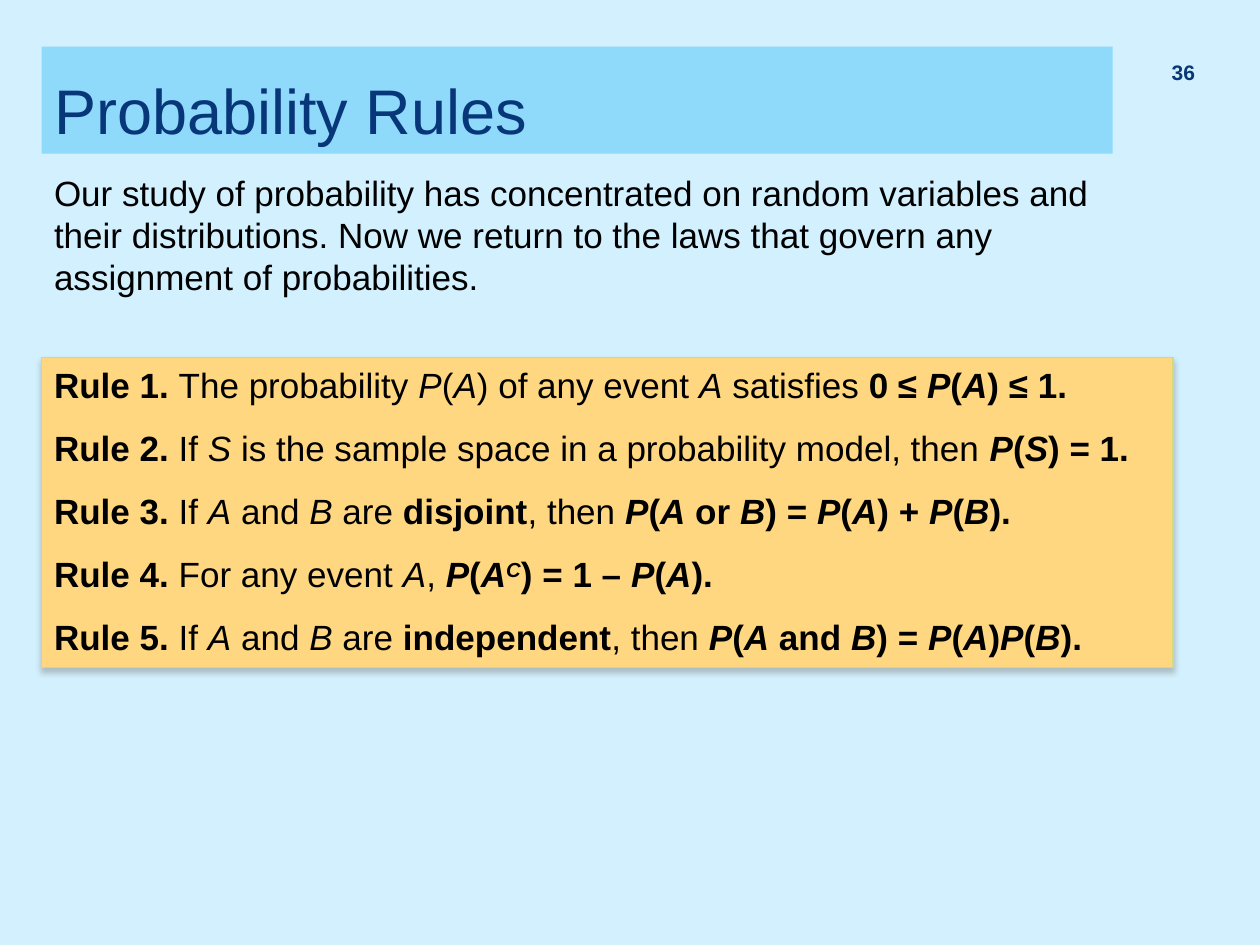
from dataclasses import dataclass

from lxml.etree import SubElement
from pptx import Presentation
from pptx.dml.color import RGBColor
from pptx.enum.text import MSO_ANCHOR, MSO_AUTO_SIZE, PP_ALIGN
from pptx.enum.shapes import MSO_SHAPE
from pptx.oxml.ns import qn
from pptx.util import Cm, Pt

NAVY = "073779"
BLACK = "000000"
LEFT = 0.84


@dataclass(frozen=True)
class Span:
    text: str
    bold: bool = False
    italic: bool = False
    superscript: bool = False


@dataclass(frozen=True)
class Area:
    left: float
    top: float
    width: float
    height: float

    def lengths(self) -> tuple:
        return Cm(self.left), Cm(self.top), Cm(self.width), Cm(self.height)


def plain(text: str) -> Span:
    return Span(text)


def italic(text: str) -> Span:
    return Span(text, italic=True)


def bold(text: str) -> Span:
    return Span(text, bold=True)


def symbol(text: str) -> Span:
    return Span(text, bold=True, italic=True)


def probability(event: str, after: str) -> list[Span]:
    return [symbol("P"), bold("("), symbol(event), bold(")" + after)]


def joint(conjunction: str) -> list[Span]:
    return [symbol("P"), bold("("), symbol("A"), bold(f" {conjunction} "),
            symbol("B"), bold(") = ")]


def two_events(kind: str) -> list[Span]:
    return [plain("If "), italic("A"), plain(" and "), italic("B"),
            plain(" are "), bold(kind), plain(", then ")]


RULES = [
    [plain("The probability "), italic("P"), plain("("), italic("A"),
     plain(") of any event "), italic("A"), plain(" satisfies "),
     bold("0 ≤ "), *probability("A", " ≤ 1.")],
    [plain("If "), italic("S"),
     plain(" is the sample space in a probability model, then "),
     *probability("S", " = 1.")],
    [*two_events("disjoint"), *joint("or"),
     *probability("A", " + "), *probability("B", ".")],
    [plain("For any event "), italic("A"), plain(", "),
     symbol("P"), bold("("), symbol("A"), Span("C", True, True, True),
     bold(") = 1 – "), *probability("A", ".")],
    [*two_events("independent"), *joint("and"),
     *probability("A", ""), *probability("B", ".")],
]


def color(value: str) -> RGBColor:
    return RGBColor.from_string(value)


def add_span(paragraph, span: Span, size: float, ink: str) -> None:
    run = paragraph.add_run()
    run.text = span.text
    run.font.name = "Arial"
    run.font.size = Pt(size)
    run.font.bold = span.bold
    run.font.italic = span.italic
    run.font.color.rgb = color(ink)
    if span.superscript:
        run._r.get_or_add_rPr().set("baseline", "30000")


def place(shape, area: Area) -> None:
    shape.left, shape.top, shape.width, shape.height = area.lengths()


def set_fill(shape, value: str) -> None:
    shape.fill.solid()
    shape.fill.fore_color.rgb = color(value)


def add_shadow(shape) -> None:
    shape.shadow.inherit = False
    effects = shape._element.spPr.find(qn("a:effectLst"))
    shadow = SubElement(effects, qn("a:outerShdw"), blurRad=str(Pt(3)),
                        dist=str(Pt(2.4)), dir="5400000", rotWithShape="0")
    tint = SubElement(shadow, qn("a:srgbClr"), val="808080")
    SubElement(tint, qn("a:alpha"), val="45000")


def add_title(slide) -> None:
    title = slide.shapes.title
    place(title, Area(LEFT, 0.94, 21.59, 2.16))
    set_fill(title, "8FD9FB")
    frame = title.text_frame
    frame.auto_size = MSO_AUTO_SIZE.NONE
    frame.vertical_anchor = MSO_ANCHOR.BOTTOM
    heading = frame.paragraphs[0]
    heading.alignment = PP_ALIGN.LEFT
    add_span(heading, plain("Probability Rules"), 36, NAVY)


def add_text(slide, area: Area, span: Span, size: float, ink: str):
    box = slide.shapes.add_textbox(*area.lengths())
    box.text_frame.word_wrap = True
    add_span(box.text_frame.paragraphs[0], span, size, ink)
    return box.text_frame


def add_rules(slide, area: Area, rules: list[list[Span]]) -> None:
    panel = slide.shapes.add_shape(MSO_SHAPE.RECTANGLE, *area.lengths())
    set_fill(panel, "FFD780")
    panel.line.color.rgb = color("D2DA7A")
    panel.line.width = Pt(0.79)
    add_shadow(panel)
    frame = panel.text_frame
    frame.word_wrap = True
    frame.auto_size = MSO_AUTO_SIZE.SHAPE_TO_FIT_TEXT
    frame.vertical_anchor = MSO_ANCHOR.TOP
    for number, statement in enumerate(rules, 1):
        rule = frame.paragraphs[0] if number == 1 else frame.add_paragraph()
        rule.alignment = PP_ALIGN.LEFT
        rule.space_after = Pt(12)
        for span in [bold(f"Rule {number}. "), *statement]:
            add_span(rule, span, 20, BLACK)


def main() -> None:
    deck = Presentation()
    deck.slide_width, deck.slide_height = Cm(25.4), Cm(19.05)
    slide = deck.slides.add_slide(deck.slide_layouts.get_by_name("Title Only"))
    slide.background.fill.solid()
    slide.background.fill.fore_color.rgb = color("D2F0FD")

    add_title(slide)
    page = add_text(slide, Area(22.94, 0.99, 1.4, 1.02), bold("36"), 12, NAVY)
    page.vertical_anchor = MSO_ANCHOR.MIDDLE
    page.paragraphs[0].alignment = PP_ALIGN.RIGHT
    page.paragraphs[0].line_spacing = 0.8
    introduction = (
        "Our study of probability has concentrated on random variables and "
        "their distributions. Now we return to the laws that govern any "
        "assignment of probabilities."
    )
    add_text(slide, Area(LEFT, 3.33, 21.79, 2.72), plain(introduction), 20, BLACK)
    add_rules(slide, Area(LEFT, 7.21, 22.81, 6.25), RULES)
    deck.save("out.pptx")


if __name__ == "__main__":
    main()
